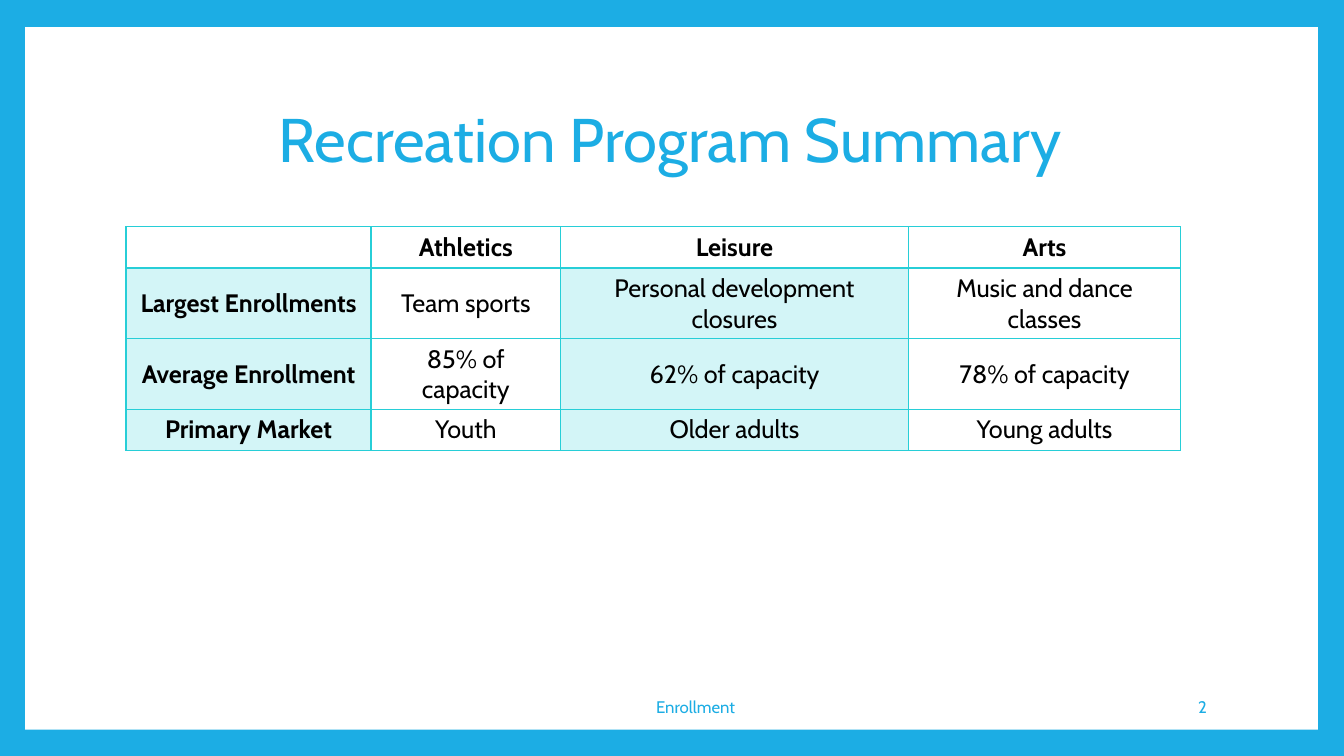
import pptx
import pptx.util
import pptx.dml.color
import pptx.enum.shapes
import pptx.enum.text
import pptx.oxml
import pptx.oxml.ns
import lxml.etree

Inches = pptx.util.Inches
Align = pptx.enum.text.PP_ALIGN
Middle = pptx.enum.text.MSO_ANCHOR.MIDDLE

COLOURS = {"frame": "1CADE4", "panel": "FFFFFF", "grid": "27CED7", "text": "000000"}
FONT = "Cabin"
COLUMN_WIDTHS = [2.43, 1.88, 3.45, 2.7]
ROW_HEIGHT = 0.41
PROGRAMS = [
    ["", "Athletics", "Leisure", "Arts"],
    ["Largest Enrollments", "Team sports", "Personal development closures", "Music and dance classes"],
    ["Average Enrollment", "85% of capacity", "62% of capacity", "78% of capacity"],
    ["Primary Market", "Youth", "Older adults", "Young adults"],
]


def colour(name):
    return pptx.dml.color.RGBColor.from_string(COLOURS[name])


def paint(fill, name):
    fill.solid()
    fill.fore_color.rgb = colour(name)


def write(frame, text, size, ink, align=Align.CENTER, bold=False, spacing=1.0):
    para = frame.paragraphs[0]
    para.alignment = align
    para.line_spacing = spacing
    span = para.add_run()
    span.text = text
    for name, value in {"name": FONT, "size": pptx.util.Pt(size), "bold": bold}.items():
        setattr(span.font, name, value)
    span.font.color.rgb = colour(ink)


def add_label(page, box, text, size, **style):
    frame = page.shapes.add_textbox(*map(Inches, box)).text_frame
    frame.word_wrap = True
    frame.vertical_anchor = Middle
    write(frame, text, size, "frame", **style)


def add_panel(page, box):
    paint(page.background.fill, "frame")
    panel = page.shapes.add_shape(pptx.enum.shapes.MSO_SHAPE.RECTANGLE, *map(Inches, box))
    panel.shadow.inherit = False
    paint(panel.fill, "panel")
    panel.line.fill.background()


def add_borders(cell, widths):
    properties = cell._tc.get_or_add_tcPr()
    for position, (side, width) in enumerate(widths.items()):
        border = pptx.oxml.parse_xml(
            f'<a:ln{side} {pptx.oxml.ns.nsdecls("a")} w="{pptx.util.Pt(width)}">'
            f'<a:solidFill><a:srgbClr val="{COLOURS["grid"]}"/></a:solidFill></a:ln{side}>'
        )
        properties.insert(position, border)


def tint(cell, percent):
    paint(cell.fill, "grid")
    shade = cell._tc.tcPr.find(".//" + pptx.oxml.ns.qn("a:solidFill") + "[last()]/" + pptx.oxml.ns.qn("a:srgbClr"))
    lxml.etree.SubElement(shade, pptx.oxml.ns.qn("a:alpha"), val=str(percent * 1000))


def add_summary_table(page, left, top):
    box = (left, top, sum(COLUMN_WIDTHS), ROW_HEIGHT * len(PROGRAMS))
    table = page.shapes.add_table(len(PROGRAMS), len(COLUMN_WIDTHS), *map(Inches, box)).table
    table.horz_banding = False
    for column, width in zip(table.columns, COLUMN_WIDTHS):
        column.width = Inches(width)
    for row_index, texts in enumerate(PROGRAMS):
        table.rows[row_index].height = Inches(ROW_HEIGHT)
        for column_index, text in enumerate(texts):
            cell = table.cell(row_index, column_index)
            cell.vertical_anchor = Middle
            heading = row_index == 0 or column_index == 0
            write(cell.text_frame, text, 18, "text", bold=heading)
            if row_index > 0 and column_index % 2 == 0:
                tint(cell, 20)
            else:
                cell.fill.background()
            add_borders(cell, {
                "L": 1,
                "R": 1,
                "T": 2 if row_index == 1 else 1,
                "B": 2 if row_index == 0 else 1,
            })


def add_footer(page, top, height):
    add_label(page, (4.32, top, 5.16, height), "Enrollment", 12)
    add_label(page, (10.2, top, 1.87, height), "2", 12, align=Align.RIGHT)


def main():
    deck = pptx.Presentation()
    deck.slide_width = Inches(13.33)
    deck.slide_height = Inches(7.5)
    page = deck.slides.add_slide(deck.slide_layouts[6])
    add_panel(page, (0.25, 0.27, 12.82, 6.97))
    add_label(page, (1.25, 0.67, 10.8, 1.48), "Recreation Program Summary", 44, spacing=0.9)
    add_summary_table(page, 1.25, 2.25)
    add_footer(page, 6.81, 0.4)
    deck.save("out.pptx")


if __name__ == "__main__":
    main()
